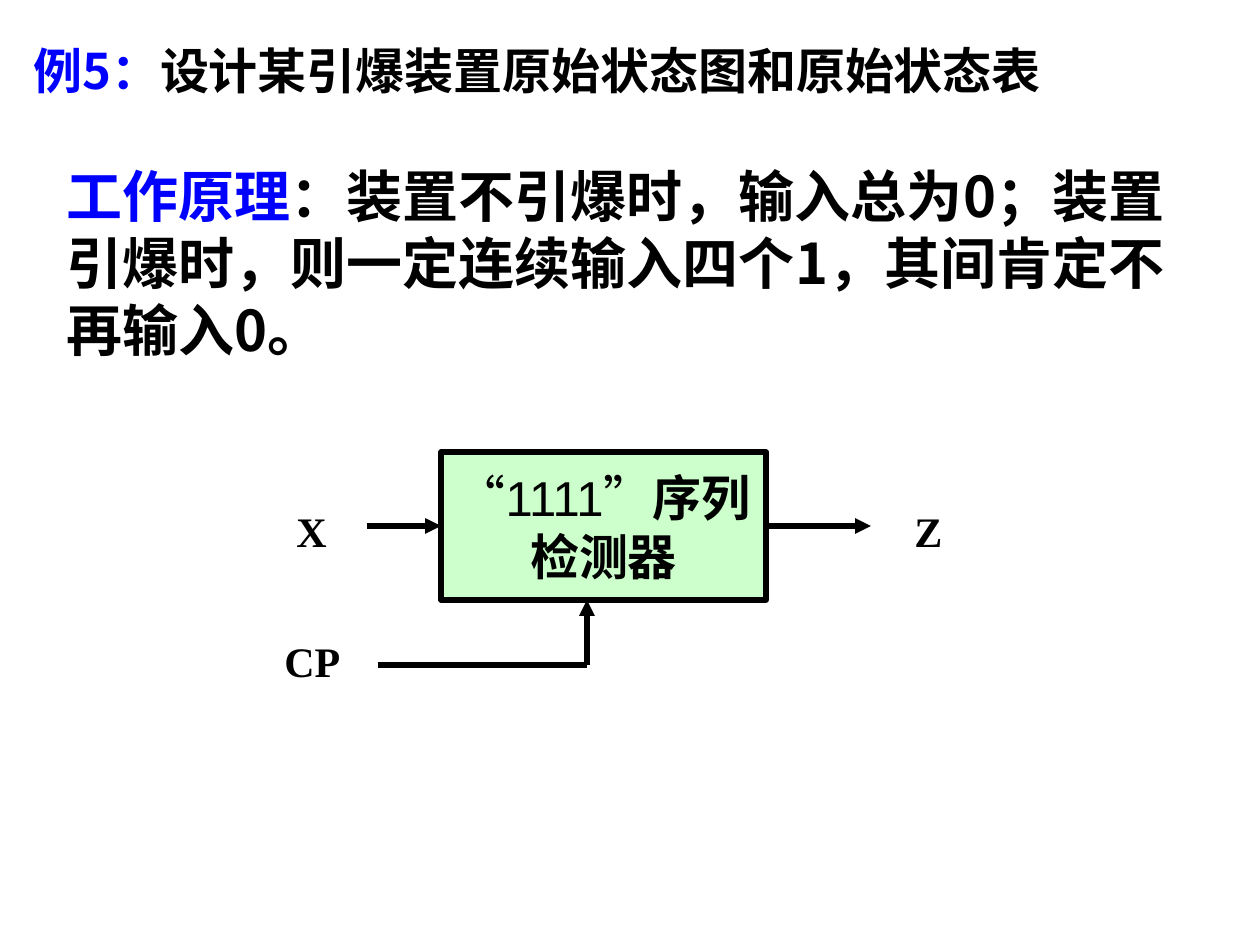
from dataclasses import dataclass

from lxml.etree import SubElement
from pptx import Presentation
from pptx.dml.color import RGBColor
from pptx.enum.shapes import MSO_CONNECTOR as Connector, MSO_SHAPE as Shape
from pptx.enum.text import MSO_ANCHOR as Anchor, PP_ALIGN as Align
from pptx.oxml.ns import qn
from pptx.util import Emu, Pt

PX = 914400 // 126


@dataclass(frozen=True)
class Theme:
    black: str = "000000"
    blue: str = "0000FF"
    green: str = "CCFFCC"
    chinese: str = "Noto Sans CJK SC"
    digits: str = "Arial"
    signal: str = "Times New Roman"
    body_size: int = 32
    title_size: int = 28
    signal_size: int = 24
    line_width: int = 3


THEME = Theme()

# Content: each paragraph is a list of (text, format) runs
BLUE = {"color": THEME.blue}
TITLE = [[("例5：", BLUE), ("设计某引爆装置原始状态图和原始状态表", {})]]
PRINCIPLE = [[
    ("工作原理", BLUE),
    ("：装置不引爆时，输入总为0；装置引爆时，则一定连续输入四个1，其间肯定不再输入0。", {}),
]]
DETECTOR = [
    [("“1111”", {"font": THEME.digits, "bold": False}), ("序列", {})],
    [("检测器", {})],
]

# Block diagram, in px
BOX_LEFT, BOX_TOP, BOX_WIDTH, BOX_HEIGHT = 441, 452, 325, 148
BOX_RIGHT, BOX_BOTTOM = BOX_LEFT + BOX_WIDTH, BOX_TOP + BOX_HEIGHT
SIGNAL_Y = BOX_TOP + BOX_HEIGHT // 2
CLOCK_X, CLOCK_Y = 587, 665
SIGNALS = [("X", 284, 499, 73), ("CP", 272, 629, 94), ("Z", 902, 499, 94)]
LINES = [  # start, end, arrowhead
    ((367, SIGNAL_Y), (BOX_LEFT, SIGNAL_Y), True),
    ((BOX_RIGHT, SIGNAL_Y), (871, SIGNAL_Y), True),
    ((378, CLOCK_Y), (CLOCK_X, CLOCK_Y), False),
    ((CLOCK_X, CLOCK_Y), (CLOCK_X, BOX_BOTTOM), True),
]


def px(*lengths):
    return [Emu(length * PX) for length in lengths]


def write(shape, paragraphs, size, font=THEME.chinese, align=Align.LEFT,
          anchor=Anchor.TOP, wrap=True):
    frame = shape.text_frame
    frame.word_wrap = wrap
    frame.vertical_anchor = anchor
    for index, runs in enumerate(paragraphs):
        paragraph = frame.add_paragraph() if index else frame.paragraphs[0]
        paragraph.alignment = align
        for text, style in runs:
            run = paragraph.add_run()
            run.text = text
            face = style.get("font", font)
            run.font.name = face
            run.font.size = Pt(size)
            run.font.bold = style.get("bold", True)
            run.font.color.rgb = RGBColor.from_string(style.get("color", THEME.black))
            if face == THEME.chinese:
                SubElement(run.font._element, qn("a:ea"), typeface=face)


def add_text(slide, box, paragraphs, size, **style):
    write(slide.shapes.add_textbox(*px(*box)), paragraphs, size, **style)


def set_line(line):
    line.color.rgb = RGBColor.from_string(THEME.black)
    line.width = Pt(THEME.line_width)


def add_line(slide, start, end, arrow):
    connector = slide.shapes.add_connector(Connector.STRAIGHT, *px(*start, *end))
    set_line(connector.line)
    if arrow:
        SubElement(connector.line._get_or_add_ln(), qn("a:tailEnd"), type="triangle")
    SubElement(connector._element.spPr, qn("a:effectLst"))


def main():
    presentation = Presentation()
    presentation.slide_width, presentation.slide_height = px(1260, 945)
    slide = presentation.slides.add_slide(presentation.slide_layouts[6])

    # Title and working principle
    add_text(slide, (21, 34, 1239, 72), TITLE, THEME.title_size)
    add_text(slide, (54, 155, 1171, 217), PRINCIPLE, THEME.body_size)

    # Sequence detector
    detector = slide.shapes.add_shape(
        Shape.RECTANGLE, *px(BOX_LEFT, BOX_TOP, BOX_WIDTH, BOX_HEIGHT))
    detector.shadow.inherit = False
    detector.fill.solid()
    detector.fill.fore_color.rgb = RGBColor.from_string(THEME.green)
    set_line(detector.line)
    write(detector, DETECTOR, THEME.title_size, align=Align.CENTER,
          anchor=Anchor.MIDDLE, wrap=False)

    # Signals
    for start, end, arrow in LINES:
        add_line(slide, start, end, arrow)
    for name, left, top, width in SIGNALS:
        add_text(slide, (left, top, width, 63), [[(name, {})]],
                 THEME.signal_size, font=THEME.signal)

    presentation.save("out.pptx")


if __name__ == "__main__":
    main()
